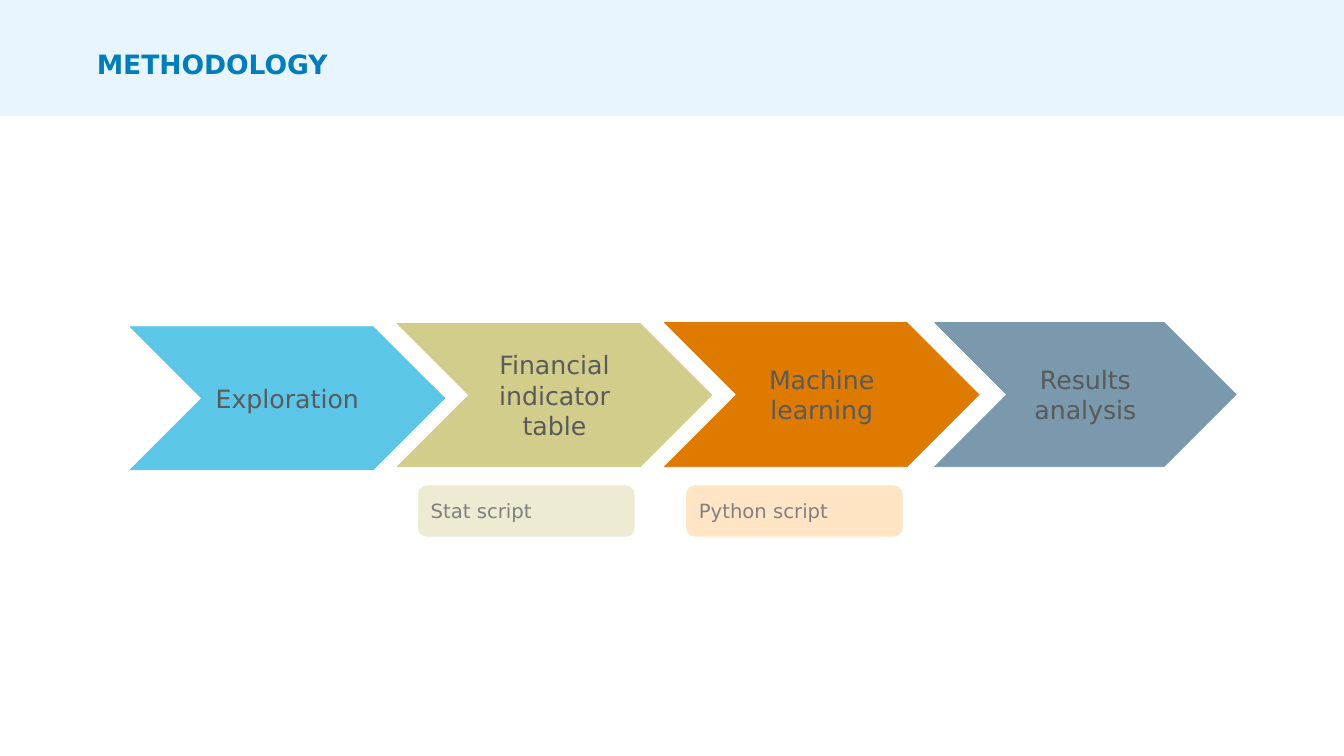
from dataclasses import dataclass

from pptx import Presentation
from pptx.dml.color import RGBColor
from pptx.enum.shapes import MSO_SHAPE as Shape
from pptx.enum.text import MSO_ANCHOR as Anchor, MSO_AUTO_SIZE as AutoSize, PP_ALIGN as Align
from pptx.util import Inches, Pt


@dataclass(frozen=True)
class Theme:
    font: str = "DejaVu Sans"
    header_fill: str = "E9F5FE"
    title: str = "007DBA"
    step_text: str = "595A5B"
    script_text: str = "808080"
    title_size: int = 19
    step_size: int = 18
    script_size: int = 14
    outline: float = 0.5


THEME = Theme()

# Label, fill and box (left, top, width, height) of each step
STEPS = [
    ("Exploration", "5BC6E8", (0, 0.04, 3.12, 1.42)),
    ("Financial indicator table", "D3CD8B", (2.65, 0.01, 3.12, 1.42)),
    ("Machine learning", "DF7A00", (5.3, 0, 3.12, 1.43)),
    ("Results analysis", "7A99AC", (7.98, 0, 2.99, 1.43)),
]
SCRIPTS = [("Stat script", "EDEBD1"), ("Python script", "FFE5C6")]


def write(frame, text, size, color, align, bold=False):
    para = frame.paragraphs[0]
    para.alignment = align
    span = para.add_run()
    span.text = text
    formats = {"name": THEME.font, "size": Pt(size), "bold": bold}
    for name, value in formats.items():
        setattr(span.font, name, value)
    span.font.color.rgb = RGBColor.from_string(color)
    return para


def add_block(page, kind, box, fill, outlined=True):
    block = page.shapes.add_shape(kind, *map(Inches, box))
    block.shadow.inherit = False
    color = RGBColor.from_string(fill)
    block.fill.solid()
    block.fill.fore_color.rgb = color
    if outlined:
        block.line.color.rgb = color
        block.line.width = Pt(THEME.outline)
    else:
        block.line.fill.background()
    block.text_frame.word_wrap = True
    block.text_frame.vertical_anchor = Anchor.MIDDLE
    return block


def add_header(page, box):
    left, top, width, height = box
    band = add_block(page, Shape.RECTANGLE, box, THEME.header_fill, outlined=False)
    page.shapes._spTree.insert(2, band._element)  # behind the title

    title = page.shapes.title
    place = {"left": left + 0.96, "top": top + 0.5, "width": width - 1.66, "height": 0.34}
    for name, value in place.items():
        setattr(title, name, Inches(value))
    frame = title.text_frame
    for side in ("left", "top", "right", "bottom"):
        setattr(frame, f"margin_{side}", 0)
    formats = {"word_wrap": True, "auto_size": AutoSize.NONE, "vertical_anchor": Anchor.TOP}
    for name, value in formats.items():
        setattr(frame, name, value)
    para = write(frame, "METHODOLOGY", THEME.title_size, THEME.title, Align.LEFT, bold=True)
    para.line_spacing = 0.95


def add_steps(page, left, top):
    for label, fill, (x, y, width, height) in STEPS:
        step = add_block(page, Shape.CHEVRON, (left + x, top + y, width, height), fill)
        write(step.text_frame, label, THEME.step_size, THEME.step_text, Align.CENTER)


def add_scripts(page, left, top, pitch=2.66):
    for index, (label, fill) in enumerate(SCRIPTS):
        box = (left + index * pitch, top, 2.14, 0.5)
        tag = add_block(page, Shape.ROUNDED_RECTANGLE, box, fill)
        write(tag.text_frame, label, THEME.script_size, THEME.script_text, Align.LEFT)


def main():
    deck = Presentation()
    deck.slide_width, deck.slide_height = Inches(13.33), Inches(7.5)
    page = deck.slides.add_slide(deck.slide_layouts.get_by_name("Title Only"))

    # Header band and title
    add_header(page, (0, 0, 13.33, 1.15))
    # Process chevrons
    add_steps(page, 1.29, 3.2)
    # Script tags under the second and third steps
    add_scripts(page, 4.15, 4.82)

    deck.save("out.pptx")


if __name__ == "__main__":
    main()
